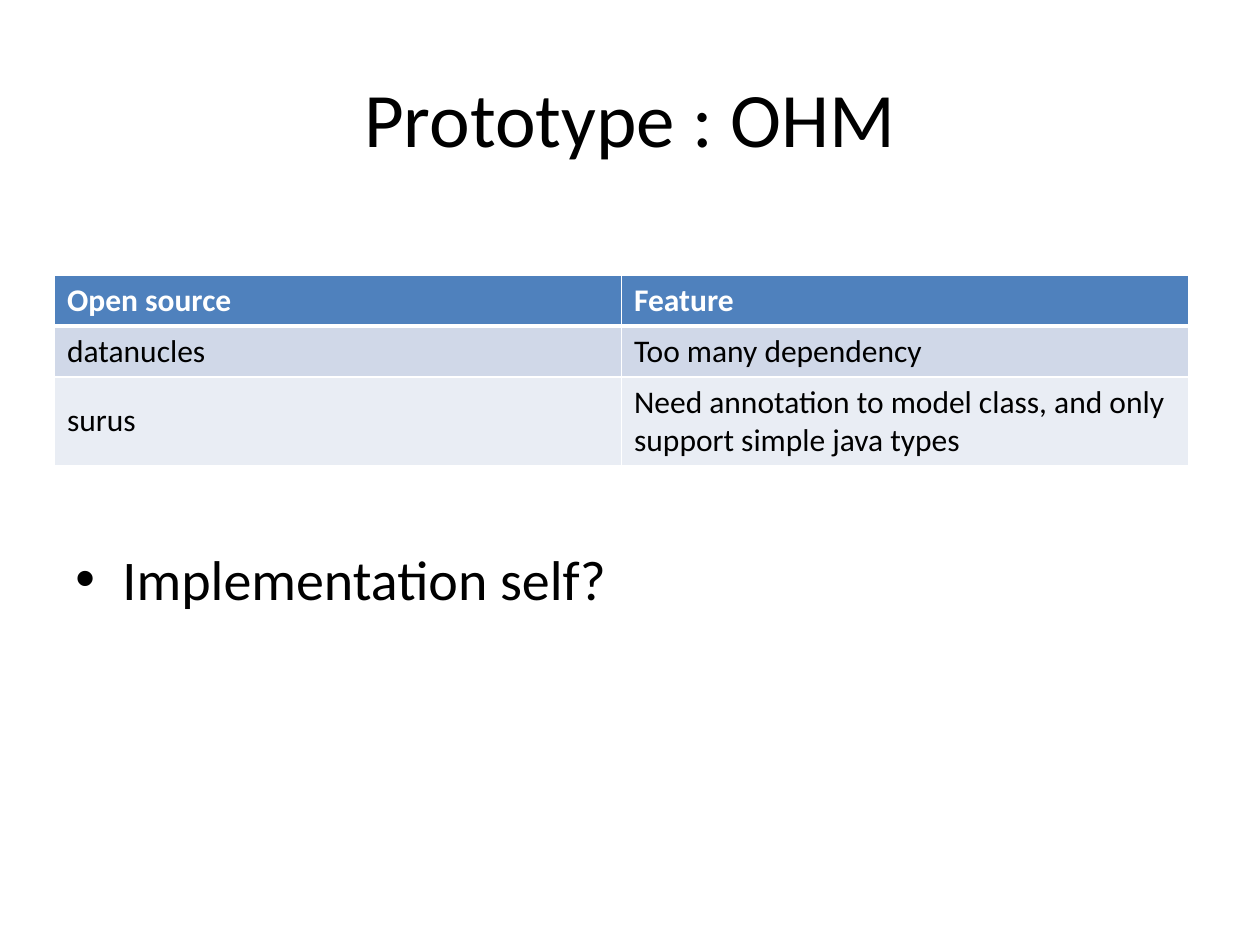
from dataclasses import dataclass

from lxml import etree
from pptx import Presentation
from pptx.dml.color import RGBColor
from pptx.enum import text
from pptx.oxml.ns import qn
from pptx.util import Cm, Pt


@dataclass(frozen=True)
class Theme:
    font: str = "Calibri"
    ink: str = "000000"
    white: str = "FFFFFF"
    header: str = "4F81BD"
    bands: tuple = ("D0D8E8", "E9EDF4")
    title_size: int = 44
    body_size: int = 32
    table_size: int = 18


THEME = Theme()
ROWS = [
    ("Open source", "Feature"),
    ("datanucles", "Too many dependency"),
    ("surus", "Need annotation to model class, and only support simple java types"),
]
ROW_HEIGHTS = (1.03, 1.03, 1.77)


def add_run(p, words, size, color=THEME.ink, bold=False):
    r = p.add_run()
    r.text = words
    r.font.name = THEME.font
    r.font.size = Pt(size)
    r.font.bold = bold
    r.font.color.rgb = RGBColor.from_string(color)


def add_text(s, box, words, size, anchor, align):
    sp = s.shapes.add_textbox(*(Cm(v) for v in box))
    tf = sp.text_frame
    tf.word_wrap = True
    tf.vertical_anchor = anchor
    p = tf.paragraphs[0]
    p.alignment = align
    add_run(p, words, size)
    return p


def add_bullet(p, indent):
    pPr = p._p.get_or_add_pPr()
    pPr.set("marL", str(Cm(indent)))
    pPr.set("indent", str(-Cm(indent)))
    etree.SubElement(pPr, qn("a:buFont"), typeface="Arial")
    etree.SubElement(pPr, qn("a:buChar"), char="•")


def set_borders(cell, widths):
    tcPr = cell._tc.get_or_add_tcPr()
    for i, (side, width) in enumerate(widths.items()):
        ln = etree.Element(qn(f"a:ln{side}"), w=str(Pt(width)))
        fill = etree.SubElement(ln, qn("a:solidFill"))
        etree.SubElement(fill, qn("a:srgbClr"), val=THEME.white)
        tcPr.insert(i, ln)


def fill_cell(cell, words, row):
    header = row == 0
    color = THEME.header if header else THEME.bands[(row - 1) % 2]
    cell.fill.solid()
    cell.fill.fore_color.rgb = RGBColor.from_string(color)
    cell.vertical_anchor = text.MSO_ANCHOR.TOP if header else text.MSO_ANCHOR.MIDDLE
    add_run(cell.text_frame.paragraphs[0], words, THEME.table_size,
            THEME.white if header else THEME.ink, header)
    set_borders(cell, {"L": 1, "R": 1, "T": 3 if row == 1 else 1, "B": 3 if header else 1})


def add_feature_table(s, left, top, width):
    frame = s.shapes.add_table(len(ROWS), len(ROWS[0]), Cm(left), Cm(top),
                               Cm(width), Cm(sum(ROW_HEIGHTS)))
    table = frame.table
    for i, (words, height) in enumerate(zip(ROWS, ROW_HEIGHTS)):
        table.rows[i].height = Cm(height)
        for j, word in enumerate(words):
            fill_cell(table.cell(i, j), word, i)


def main():
    prs = Presentation()
    prs.slide_width, prs.slide_height = Cm(25.4), Cm(19.05)
    s = prs.slides.add_slide(prs.slide_layouts[6])
    add_text(s, (1.27, 0.76, 22.86, 3.18), "Prototype : OHM", THEME.title_size,
             text.MSO_ANCHOR.MIDDLE, text.PP_ALIGN.CENTER)
    p = add_text(s, (1.27, 10.85, 22.86, 6.17), "Implementation self?", THEME.body_size,
                 text.MSO_ANCHOR.TOP, text.PP_ALIGN.LEFT)
    add_bullet(p, 0.95)
    add_feature_table(s, 1.1, 5.54, 22.86)
    prs.save("out.pptx")


main()
